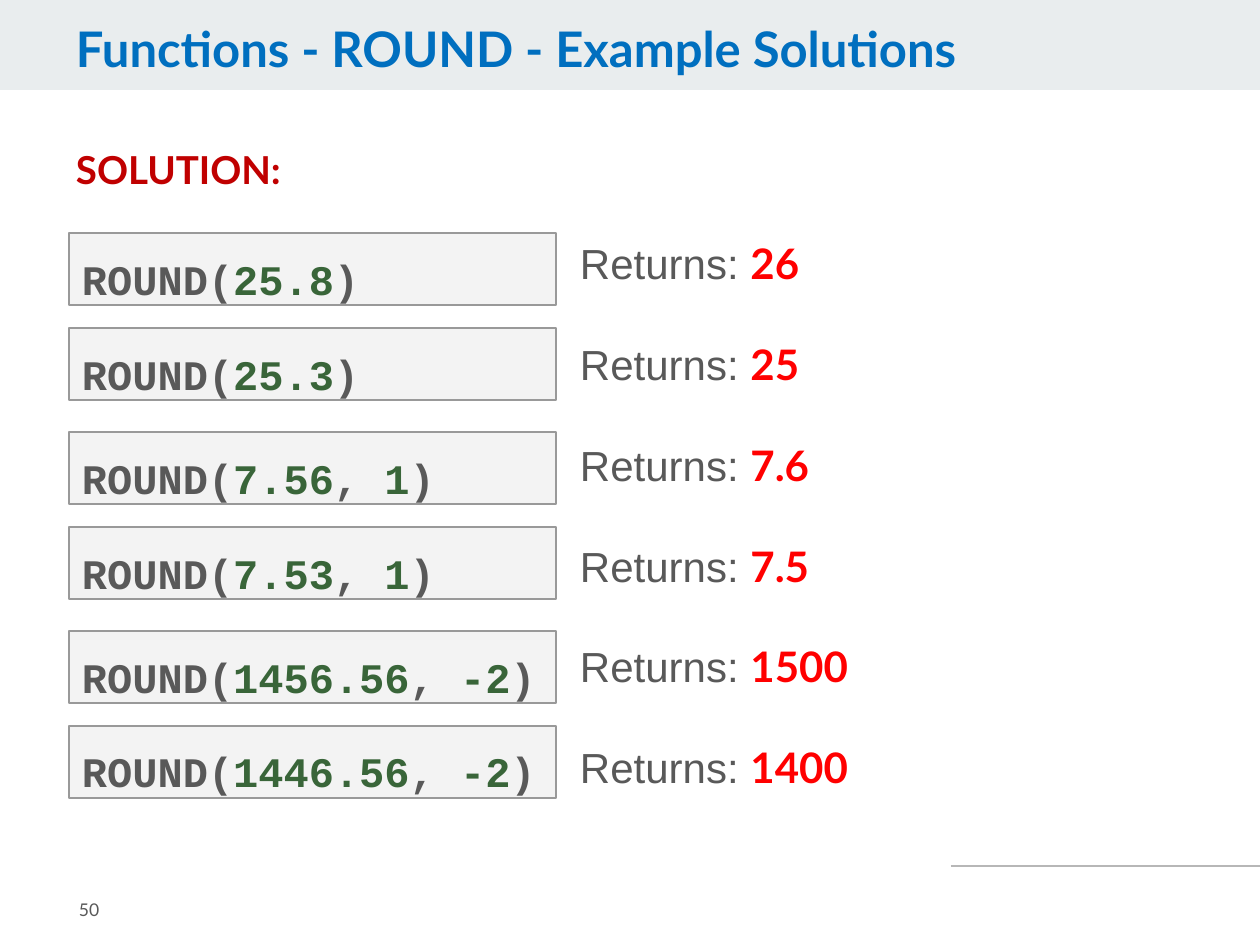
from dataclasses import dataclass

from lxml.etree import SubElement
from pptx import Presentation
from pptx.dml.color import RGBColor
from pptx.enum.shapes import MSO_CONNECTOR, MSO_SHAPE
from pptx.enum.text import MSO_ANCHOR, PP_ALIGN
from pptx.oxml.ns import qn
from pptx.util import Emu, Pt

PX = 914400 / 126
WHITE_SMOKE = RGBColor(0xF3, 0xF3, 0xF3)
BAND_GRAY = RGBColor(0xE9, 0xED, 0xEE)
RULE_GRAY = RGBColor(0xB7, 0xB7, 0xB7)
BORDER_GRAY = RGBColor(0x99, 0x99, 0x99)
TEXT_GRAY = RGBColor(0x59, 0x59, 0x59)
BLUE = RGBColor(0x00, 0x6F, 0xBF)
DARK_RED = RGBColor(0xC0, 0x00, 0x00)
RED = RGBColor(0xFF, 0x00, 0x00)
GREEN = RGBColor(0x39, 0x65, 0x39)


@dataclass(frozen=True)
class Box:
    left: int
    top: int
    width: int
    height: int


@dataclass(frozen=True)
class Example:
    arguments: tuple[str, ...]
    result: str


EXAMPLES = [
    Example(("25.8",), "26"),
    Example(("25.3",), "25"),
    Example(("7.56", "1"), "7.6"),
    Example(("7.53", "1"), "7.5"),
    Example(("1456.56", "-2"), "1500"),
    Example(("1446.56", "-2"), "1400"),
]


def px(length: int) -> Emu:
    return Emu(round(length * PX))


def place(box: Box) -> tuple[Emu, ...]:
    return px(box.left), px(box.top), px(box.width), px(box.height)


def add_text(paragraph, text: str, *, size: int, color: RGBColor,
             font: str = "Lato", bold: bool = False) -> None:
    run = paragraph.add_run()
    run.text = text
    run.font.name = font
    run.font.size = Pt(size)
    run.font.bold = bold
    run.font.color.rgb = color


def set_frame(shape, *, side: int = 13, top: int = 6, anchor=MSO_ANCHOR.TOP):
    frame = shape.text_frame
    frame.word_wrap = True
    frame.vertical_anchor = anchor
    frame.margin_left = frame.margin_right = px(side)
    frame.margin_top = frame.margin_bottom = px(top)
    frame.paragraphs[0].alignment = PP_ALIGN.LEFT
    return frame


def add_rectangle(slide, box: Box, fill: RGBColor, border: RGBColor | None = None):
    rectangle = slide.shapes.add_shape(MSO_SHAPE.RECTANGLE, *place(box))
    rectangle.shadow.inherit = False
    rectangle.fill.solid()
    rectangle.fill.fore_color.rgb = fill
    if border is None:
        rectangle.line.fill.background()
    else:
        rectangle.line.color.rgb = border
        rectangle.line.width = Pt(0.75)
    return rectangle


def add_rule(slide, left: int, right: int, y: int) -> None:
    rule = slide.shapes.add_connector(
        MSO_CONNECTOR.STRAIGHT, px(left), px(y), px(right), px(y))
    rule.line.color.rgb = RULE_GRAY
    rule.line.width = Pt(0.75)
    SubElement(rule._element.spPr, qn("a:effectLst"))


def add_title(slide, title: str) -> None:
    frame = set_frame(slide.shapes.add_textbox(*place(Box(63, 19, 993, 69))))
    heading = frame.paragraphs[0]
    heading.line_spacing = 0.9
    add_text(heading, title, size=28, color=BLUE, bold=True)


def add_results(slide, examples: list[Example]) -> None:
    frame = set_frame(slide.shapes.add_textbox(*place(Box(63, 140, 1167, 649))))
    add_text(frame.paragraphs[0], "SOLUTION:", size=22, color=DARK_RED, bold=True)
    for index, example in enumerate(examples):
        result = frame.add_paragraph()
        result.alignment = PP_ALIGN.LEFT
        result.space_before = Pt(28.8 if index else 26)
        properties = result._p.get_or_add_pPr()
        properties.set("marL", str(px(504)))
        properties.set("indent", "0")
        add_text(result, "Returns: ", size=24, color=TEXT_GRAY, font="Arial")
        add_text(result, example.result, size=24, color=RED, bold=True)


def add_call(slide, example: Example, top: int) -> None:
    box = add_rectangle(slide, Box(69, top, 487, 72), WHITE_SMOKE, BORDER_GRAY)
    call = set_frame(box, top=20).paragraphs[0]
    code = dict(size=24, font="Courier New", bold=True)
    add_text(call, "ROUND(", color=TEXT_GRAY, **code)
    for index, argument in enumerate(example.arguments):
        if index:
            add_text(call, ", ", color=TEXT_GRAY, **code)
        add_text(call, argument, color=GREEN, **code)
    add_text(call, ")", color=TEXT_GRAY, **code)


def add_page_number(slide, number: str) -> None:
    page = slide.shapes.add_textbox(*place(Box(66, 873, 155, 72)))
    frame = set_frame(page, top=13, anchor=MSO_ANCHOR.MIDDLE)
    add_text(frame.paragraphs[0], number, size=10, color=TEXT_GRAY)


def main() -> None:
    deck = Presentation()
    deck.slide_width, deck.slide_height = px(1260), px(945)
    slide = deck.slides.add_slide(deck.slide_layouts[6])
    add_rule(slide, 951, 1261, 866)
    add_rectangle(slide, Box(0, 0, 1260, 90), BAND_GRAY)
    add_title(slide, "Functions - ROUND - Example Solutions")
    add_results(slide, EXAMPLES)
    add_page_number(slide, "50")
    for index, example in enumerate(EXAMPLES):
        pair, member = divmod(index, 2)
        add_call(slide, example, 233 + 199 * pair + 95 * member)
    deck.save("out.pptx")


if __name__ == "__main__":
    main()
